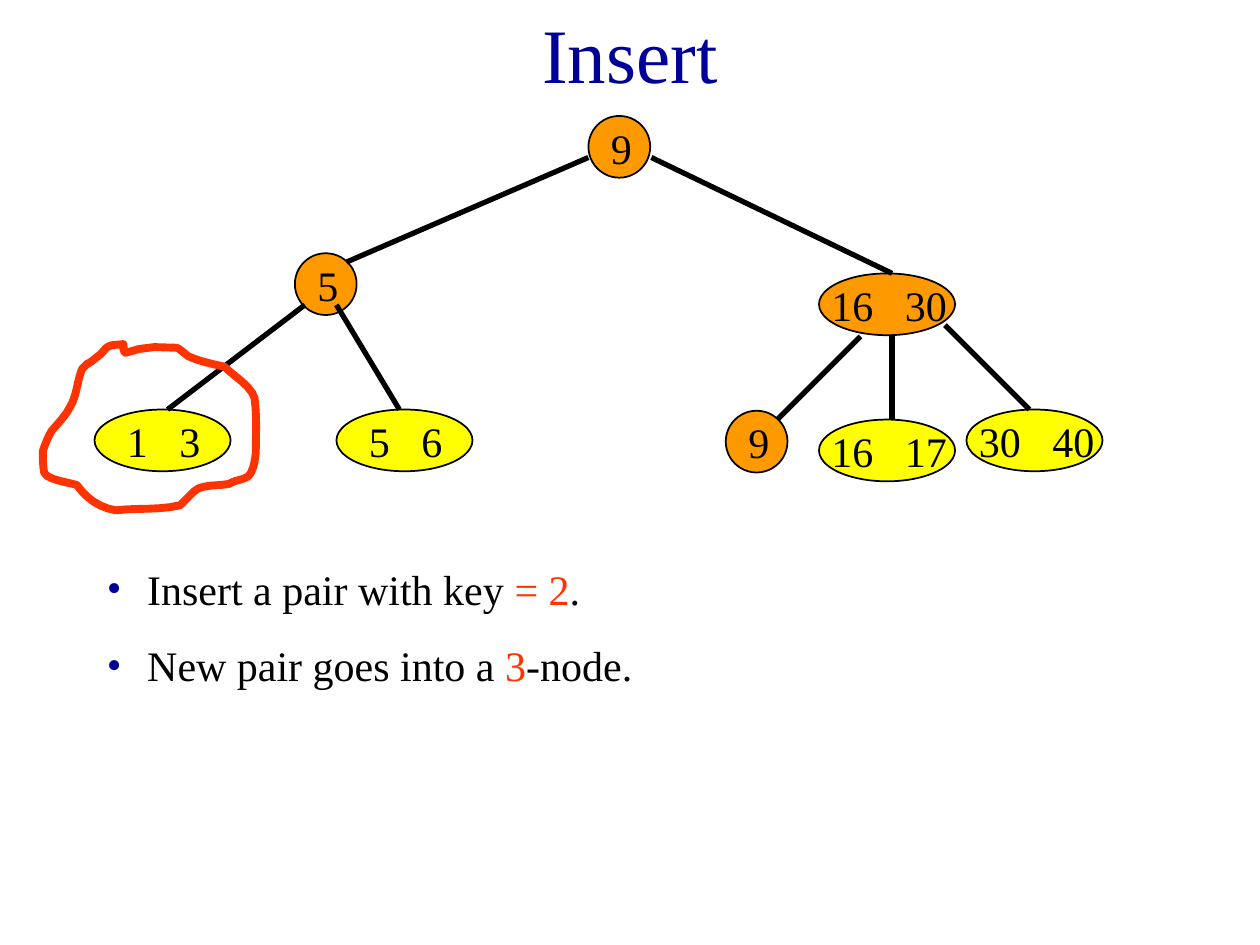
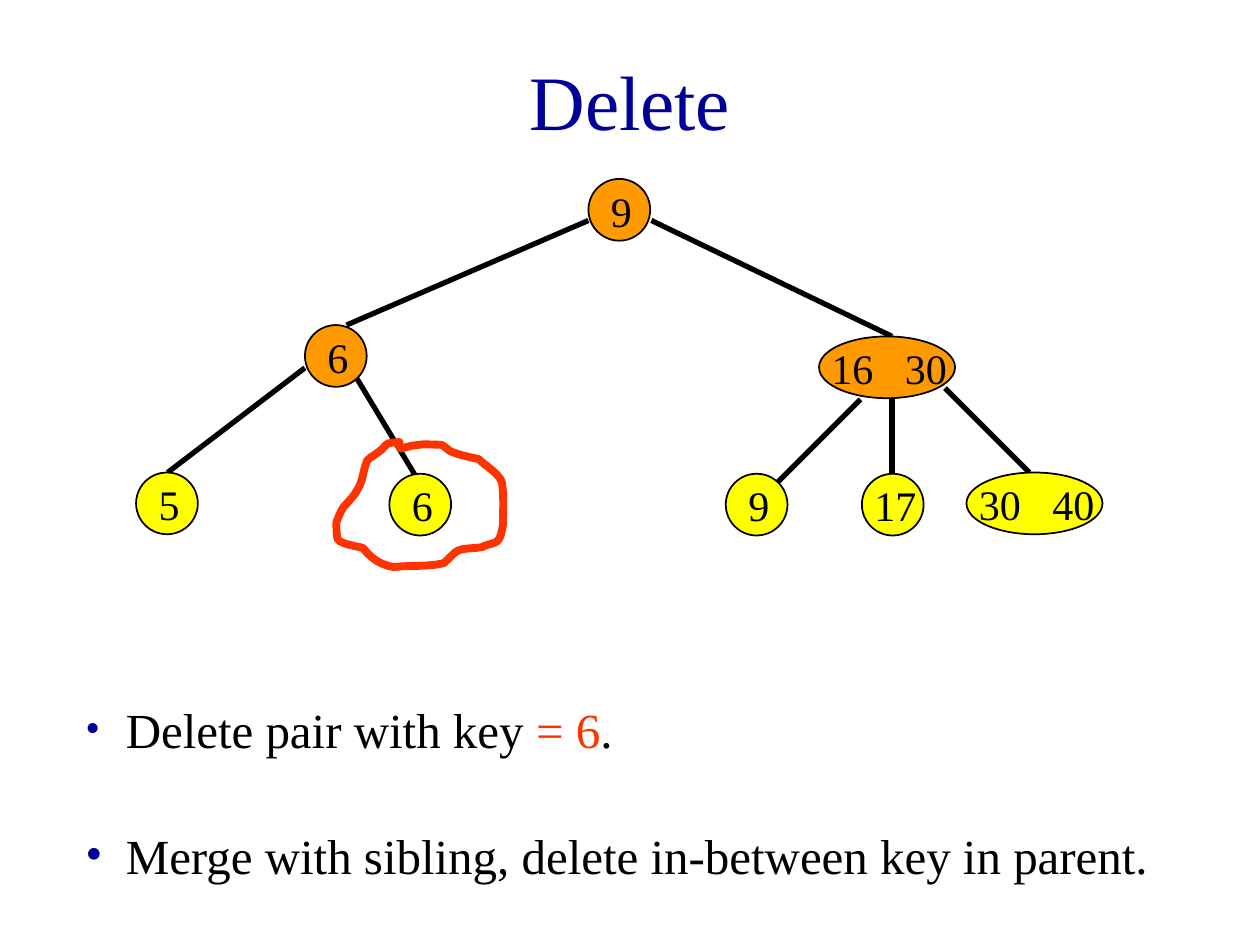
from dataclasses import dataclass

import lxml.etree
import pptx
import pptx.dml.color
import pptx.enum.shapes
import pptx.enum.text
import pptx.oxml.ns
import pptx.util

Inches = pptx.util.Inches
Pt = pptx.util.Pt
qn = pptx.oxml.ns.qn

FONT = "Times New Roman"
COLORS = {
    "title": "000099",
    "ink": "000000",
    "accent": "FF3300",
    "orange": "FF9900",
    "yellow": "FFFF00",
    "paper": "FFFFFF",
}
NODE_HEIGHT = 0.49
NODE_WIDTHS = {1: 0.49, 2: 1.08}
KEY_SIZE = 24
DIGIT_WIDTH = KEY_SIZE / 2 / 72
KEY_GAP = 0.25
BULLET_INDENT = 0.32
LOOP_WIDTH, LOOP_HEIGHT = 1.7, 1.33
LOOP_START = (0.64, 0.01)
LOOP_CURVES = [
    ((0.60, 0.02), (0.56, 0.01), (0.52, 0.03)),
    ((0.50, 0.04), (0.48, 0.07), (0.46, 0.09)),
    ((0.25, 0.26), (0.43, 0.09), (0.31, 0.21)),
    ((0.27, 0.31), (0.27, 0.43), (0.21, 0.52)),
    ((0.18, 0.58), (0.12, 0.64), (0.07, 0.70)),
    ((0.04, 0.75), (0.02, 0.80), (0.00, 0.86)),
    ((0.00, 0.91), (0.00, 0.97), (0.01, 1.03)),
    ((0.03, 1.09), (0.22, 1.11), (0.27, 1.13)),
    ((0.35, 1.24), (0.45, 1.31), (0.58, 1.33)),
    ((0.75, 1.31), (0.93, 1.33), (1.09, 1.29)),
    ((1.13, 1.25), (1.16, 1.22), (1.20, 1.18)),
    ((1.26, 1.12), (1.39, 1.14), (1.48, 1.12)),
    ((1.52, 1.09), (1.59, 1.09), (1.63, 1.06)),
    ((1.68, 1.02), (1.69, 0.87), (1.69, 0.87)),
    ((1.69, 0.73), (1.70, 0.58), (1.68, 0.44)),
    ((1.66, 0.35), (1.51, 0.26), (1.44, 0.19)),
    ((1.35, 0.17), (1.25, 0.15), (1.16, 0.11)),
    ((1.15, 0.11), (1.08, 0.04), (1.06, 0.04)),
    ((0.64, 0.00), (0.64, 0.17), (0.64, 0.01)),
]


@dataclass(frozen=True)
class Node:
    keys: tuple[str, ...]
    left: float
    top: float
    fill: str = "yellow"


@dataclass(frozen=True)
class Edge:
    x1: float
    y1: float
    x2: float
    y2: float


@dataclass(frozen=True)
class Loop:
    left: float
    top: float
    width: float
    height: float


@dataclass(frozen=True)
class Bullet:
    before: str
    accent: str = ""
    after: str = ""
    bullet_percent: int = 100


@dataclass(frozen=True)
class BulletBox:
    left: float
    top: float
    width: float
    height: float
    size: int
    bullets: tuple[Bullet, ...]


@dataclass(frozen=True)
class TreeSlide:
    title: str
    title_top: float
    title_height: float
    drop: float
    nodes: tuple[Node, ...]
    edges: tuple[Edge, ...]
    edges_on_top: bool
    loop: Loop
    bullet_boxes: tuple[BulletBox, ...]


SHARED_NODES = (
    Node(("9",), 4.67, 0.92, "orange"),
    Node(("16", "30"), 6.5, 2.17, "orange"),
    Node(("30", "40"), 7.67, 3.25),
)
SHARED_EDGES = (
    Edge(4.67, 1.25, 2.75, 2.08),
    Edge(5.17, 1.25, 7.08, 2.17),
    Edge(2.42, 2.42, 1.33, 3.25),
    Edge(6.83, 2.67, 6.17, 3.33),
    Edge(7.08, 2.67, 7.08, 3.33),
    Edge(7.5, 2.58, 8.17, 3.25),
)
SLIDES = (
    TreeSlide(
        "Insert", 0, 0.83, 0,
        (
            Node(("5",), 2.34, 2.01, "orange"),
            Node(("1", "3"), 0.75, 3.25),
            Node(("5", "6"), 2.67, 3.25),
            Node(("9",), 5.76, 3.26, "orange"),
            Node(("16", "17"), 6.5, 3.33),
        ),
        (Edge(2.67, 2.42, 3.17, 3.25),),
        True,
        Loop(0.34, 2.72, 1.7, 1.33),
        (
            BulletBox(0.75, 4.42, 6.67, 1.11, 24, (
                Bullet("Insert a pair with key ", "= 2", "."),
                Bullet("New pair goes into a ", "3", "-node."),
            )),
        ),
    ),
    TreeSlide(
        "Delete", 0.17, 1.25, 0.5,
        (
            Node(("6",), 2.42, 2.08, "orange"),
            Node(("5",), 1.08, 3.25),
            Node(("6",), 3.09, 3.26),
            Node(("9",), 5.76, 3.26),
            Node(("17",), 6.84, 3.26),
        ),
        (Edge(2.83, 2.5, 3.33, 3.33),),
        False,
        Loop(2.67, 3.5, 1.33, 1),
        (
            BulletBox(0.58, 5.5, 6.67, 0.57, 28, (
                Bullet("Delete pair with key ", "= 6", ".", 86),
            )),
            BulletBox(0.58, 6.5, 8.67, 0.57, 28, (
                Bullet("Merge with sibling, delete in-between key in parent."),
            )),
        ),
    ),
)


def rgb(name: str) -> pptx.dml.color.RGBColor:
    return pptx.dml.color.RGBColor.from_string(COLORS[name])


def add_child(parent, tag: str, **attributes: str):
    return lxml.etree.SubElement(parent, qn(tag), attributes)


def set_font(paragraph, size: int, color: str) -> None:
    paragraph.font.name = FONT
    paragraph.font.size = Pt(size)
    paragraph.font.color.rgb = rgb(color)


def add_text_frame(slide, left: float, top: float, width: float, height: float):
    box = slide.shapes.add_textbox(Inches(left), Inches(top), Inches(width), Inches(height))
    box.text_frame.word_wrap = True
    return box.text_frame


def draw_title(slide, content: TreeSlide) -> None:
    title = slide.shapes.title
    title.left, title.top = Inches(0.75), Inches(content.title_top)
    title.width, title.height = Inches(8.5), Inches(content.title_height)
    frame = title.text_frame
    frame.text = content.title
    frame.auto_size = pptx.enum.text.MSO_AUTO_SIZE.NONE
    frame.vertical_anchor = pptx.enum.text.MSO_ANCHOR.MIDDLE
    heading = frame.paragraphs[0]
    heading.alignment = pptx.enum.text.PP_ALIGN.CENTER
    set_font(heading, 44, "title")


def draw_node(slide, node: Node, drop: float) -> None:
    top = node.top + drop
    oval = slide.shapes.add_shape(
        pptx.enum.shapes.MSO_SHAPE.OVAL, Inches(node.left), Inches(top),
        Inches(NODE_WIDTHS[len(node.keys)]), Inches(NODE_HEIGHT))
    oval.shadow.inherit = False
    oval.fill.solid()
    oval.fill.fore_color.rgb = rgb(node.fill)
    oval.line.color.rgb = rgb("ink")
    oval.line.width = Pt(1)

    digits = len(node.keys[0])
    label_offset = 0.08 * len(node.keys) if digits == 1 else 0
    label_width = len(node.keys) * (0.42 if digits == 1 else 0.75)
    frame = add_text_frame(slide, node.left + label_offset, top, label_width, 0.5)
    label = frame.paragraphs[0]
    label.text = "\t".join(node.keys)
    if len(node.keys) > 1:
        tabs = add_child(label._p.get_or_add_pPr(), "a:tabLst")
        second_key = Inches(digits * DIGIT_WIDTH + KEY_GAP)
        add_child(tabs, "a:tab", pos=str(second_key), algn="l")
    set_font(label, KEY_SIZE, "ink")


def draw_edge(slide, edge: Edge, drop: float) -> None:
    line = slide.shapes.add_connector(
        pptx.enum.shapes.MSO_CONNECTOR.STRAIGHT,
        Inches(edge.x1), Inches(edge.y1 + drop), Inches(edge.x2), Inches(edge.y2 + drop))
    line.line.color.rgb = rgb("ink")
    line.line.width = Pt(3)
    add_child(line._element.spPr, "a:effectLst")


def curve_points(steps: int = 6) -> list[tuple[float, float]]:
    points = [LOOP_START]
    for control1, control2, end in LOOP_CURVES:
        corners = list(zip(points[-1], control1, control2, end))
        for step in range(1, steps + 1):
            t = step / steps
            weights = ((1 - t) ** 3, 3 * t * (1 - t) ** 2, 3 * t * t * (1 - t), t ** 3)
            x, y = (sum(w * c for w, c in zip(weights, axis)) for axis in corners)
            points.append((x, y))
    return points


def draw_loop(slide, loop: Loop) -> None:
    points = [
        (Inches(loop.left + x * loop.width / LOOP_WIDTH),
         Inches(loop.top + y * loop.height / LOOP_HEIGHT))
        for x, y in curve_points()
    ]
    builder = slide.shapes.build_freeform(*points[0])
    builder.add_line_segments(points[1:], close=True)
    outline = builder.convert_to_shape()
    outline.shadow.inherit = False
    outline.fill.background()
    outline.line.color.rgb = rgb("accent")
    outline.line.width = Pt(4.5)
    add_child(outline.line._get_or_add_ln(), "a:round")


def draw_bullets(slide, box: BulletBox) -> None:
    frame = add_text_frame(slide, box.left, box.top, box.width, box.height)
    for index, bullet in enumerate(box.bullets):
        paragraph = frame.add_paragraph() if index else frame.paragraphs[0]
        if index:
            paragraph.space_before = Pt(15)
        properties = paragraph._p.get_or_add_pPr()
        properties.set("marL", str(Inches(BULLET_INDENT)))
        properties.set("indent", str(-Inches(BULLET_INDENT)))
        add_child(add_child(properties, "a:buClr"), "a:srgbClr", val=COLORS["title"])
        add_child(properties, "a:buSzPct", val=str(bullet.bullet_percent * 1000))
        add_child(properties, "a:buFont", typeface=FONT)
        add_child(properties, "a:buChar", char="•")
        set_font(paragraph, box.size, "ink")
        for text in filter(None, (bullet.before, bullet.accent, bullet.after)):
            run = paragraph.add_run()
            run.text = text
            if text == bullet.accent:
                run.font.color.rgb = rgb("accent")


def draw_tree(slide, content: TreeSlide) -> None:
    layers = [
        (draw_edge, SHARED_EDGES + content.edges),
        (draw_node, SHARED_NODES + content.nodes),
    ]
    if content.edges_on_top:
        layers.reverse()
    for draw, parts in layers:
        for part in parts:
            draw(slide, part, content.drop)


def main() -> None:
    deck = pptx.Presentation()
    deck.slide_width, deck.slide_height = Inches(10), Inches(7.5)
    for content in SLIDES:
        slide = deck.slides.add_slide(deck.slide_layouts[5])
        slide.background.fill.solid()
        slide.background.fill.fore_color.rgb = rgb("paper")
        draw_title(slide, content)
        draw_tree(slide, content)
        draw_loop(slide, content.loop)
        for box in content.bullet_boxes:
            draw_bullets(slide, box)
    deck.save("out.pptx")


if __name__ == "__main__":
    main()
